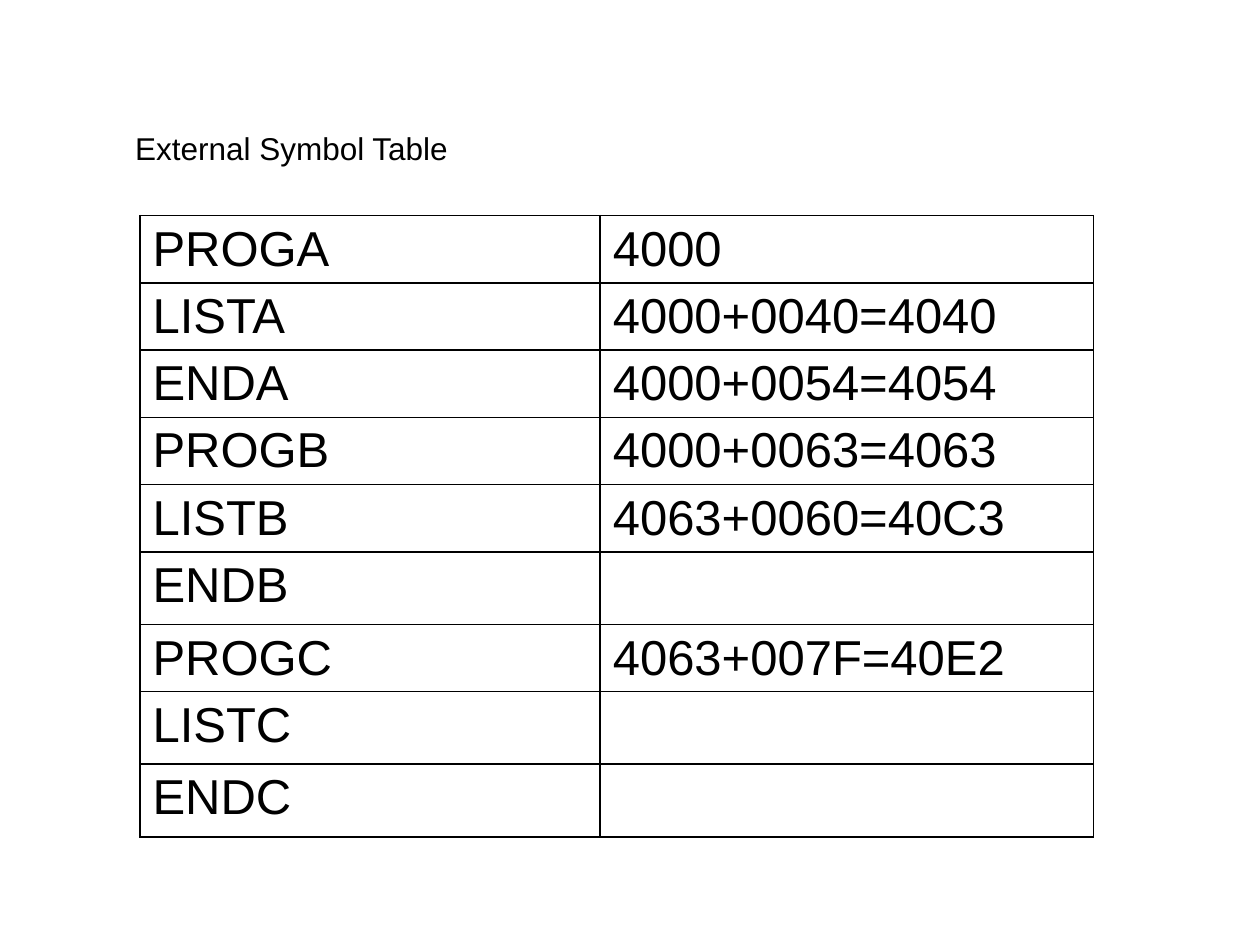
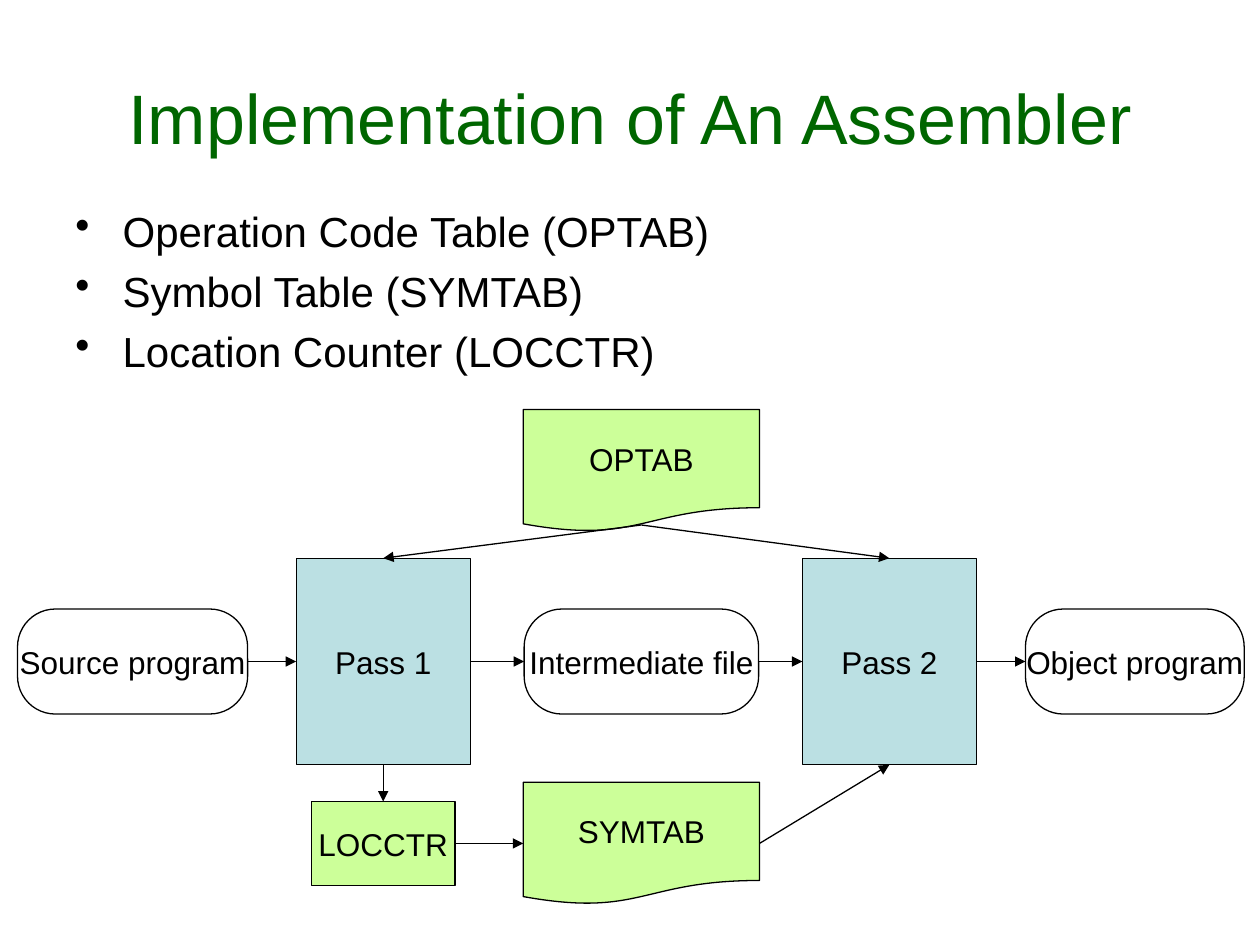
from dataclasses import dataclass

from lxml import etree
from pptx import Presentation
from pptx import util as u
from pptx.dml.color import RGBColor
from pptx.enum import shapes, text
from pptx.oxml.ns import qn

Pt = u.Pt


@dataclass(frozen=True)
class Theme:
    font: str = "Arial"
    ink: str = "000000"
    heading: str = "006600"
    process: str = "BBE0E3"
    data: str = "CCFF99"
    title_size: int = 40
    table_size: int = 28
    bullet_size: int = 24
    label_size: int = 18
    line_width: float = 0.75
    border_width: float = 1


THEME = Theme()
TITLE_ONLY = 5

SYMBOLS = [
    ("PROGA", "4000"),
    ("LISTA", "4000+0040=4040"),
    ("ENDA", "4000+0054=4054"),
    ("PROGB", "4000+0063=4063"),
    ("LISTB", "4063+0060=40C3"),
    ("ENDB", ""),
    ("PROGC", "4063+007F=40E2"),
    ("LISTC", ""),
    ("ENDC", ""),
]
TABLES = [
    "Operation Code Table (OPTAB)",
    "Symbol Table (SYMTAB)",
    "Location Counter (LOCCTR)",
]
TOP, LEFT, BOTTOM, RIGHT = range(4)


def points(*values):
    return [Pt(value) for value in values]


def style_text(text_frame, size, color=THEME.ink, align=text.PP_ALIGN.LEFT):
    for paragraph in text_frame.paragraphs:
        paragraph.alignment = align
        paragraph.font.size = Pt(size)
        for run in paragraph.runs:
            run.font.name = THEME.font
            run.font.size = Pt(size)
            run.font.color.rgb = RGBColor.from_string(color)


def style_line(line):
    line.color.rgb = RGBColor.from_string(THEME.ink)
    line.width = Pt(THEME.line_width)


def set_title(slide, content, box, size, color, align, anchor):
    title = slide.shapes.title
    title.left, title.top, title.width, title.height = points(*box)
    frame = title.text_frame
    frame.text = content
    frame.auto_size = text.MSO_AUTO_SIZE.NONE
    frame.vertical_anchor = anchor
    style_text(frame, size, color, align)


def add_border(cell):
    properties = cell._tc.get_or_add_tcPr()
    for position, side in enumerate(("a:lnL", "a:lnR", "a:lnT", "a:lnB")):
        line = etree.Element(qn(side), w=str(Pt(THEME.border_width)))
        fill = etree.SubElement(line, qn("a:solidFill"))
        etree.SubElement(fill, qn("a:srgbClr"), val=THEME.ink)
        properties.insert(position, line)


def add_table(slide, rows, left, top, widths, row_height):
    box = points(left, top, sum(widths), row_height * len(rows))
    table = slide.shapes.add_table(len(rows), len(widths), *box).table
    table.first_row = table.horz_banding = False
    for column, width in zip(table.columns, widths):
        column.width = Pt(width)
    for row, values in zip(table.rows, rows):
        row.height = Pt(row_height)
        for cell, value in zip(row.cells, values):
            cell.text_frame.text = value
            style_text(cell.text_frame, THEME.table_size)
            cell.fill.background()
            add_border(cell)


def add_bullets(slide, items, box):
    frame = slide.shapes.add_textbox(*points(*box)).text_frame
    frame.word_wrap = True
    frame.text = "\n".join(items)
    for index, paragraph in enumerate(frame.paragraphs):
        properties = paragraph._p.get_or_add_pPr()
        properties.set("marL", str(Pt(27)))
        properties.set("indent", str(Pt(-27)))
        etree.SubElement(properties, qn("a:buChar"), char="•")
        if index:
            paragraph.space_before = Pt(5.5)
    style_text(frame, THEME.bullet_size)


def add_node(slide, kind, label, box, fill=None):
    shape = slide.shapes.add_shape(kind, *points(*box))
    shape.shadow.inherit = False
    if fill:
        shape.fill.solid()
        shape.fill.fore_color.rgb = RGBColor.from_string(fill)
    else:
        shape.fill.background()
    style_line(shape.line)
    frame = shape.text_frame
    frame.text = label
    frame.word_wrap = False
    frame.vertical_anchor = text.MSO_ANCHOR.MIDDLE
    style_text(frame, THEME.label_size, align=text.PP_ALIGN.CENTER)
    return shape


def add_pass(slide, label, left):
    return add_node(slide, shapes.MSO_SHAPE.RECTANGLE, label, (left, 319, 99.5, 118), THEME.process)


def add_file(slide, label, left, width):
    shape = add_node(slide, shapes.MSO_SHAPE.ROUNDED_RECTANGLE, label, (left, 348, width, 60))
    shape.adjustments[0] = 0.36
    return shape


def add_document(slide, label, top):
    return add_node(slide, shapes.MSO_SHAPE.FLOWCHART_DOCUMENT, label, (299, top, 135, 70), THEME.data)


def add_arrow(slide, target, target_side, source=None, source_side=None, start=(0, 0)):
    x, y = points(*start)
    arrow = slide.shapes.add_connector(shapes.MSO_CONNECTOR.STRAIGHT, x, y, x, y)
    if source is not None:
        arrow.begin_connect(source, source_side)
    arrow.end_connect(target, target_side)
    style_line(arrow.line)
    etree.SubElement(arrow.line._get_or_add_ln(), qn("a:tailEnd"), type="triangle")
    etree.SubElement(arrow._element.spPr, qn("a:effectLst"))


def build_symbol_table(presentation):
    slide = presentation.slides.add_slide(presentation.slide_layouts[TITLE_ONLY])
    set_title(slide, "External Symbol Table", (70, 70, 546.5, 29), THEME.label_size,
              THEME.ink, text.PP_ALIGN.LEFT, text.MSO_ANCHOR.TOP)
    add_table(slide, SYMBOLS, 80, 123.2, (263, 282), 38.4)


def build_assembler(presentation):
    slide = presentation.slides.add_slide(presentation.slide_layouts[TITLE_ONLY])
    set_title(slide, "Implementation of An Assembler", (36, 21.6, 648, 90), THEME.title_size,
              THEME.heading, text.PP_ALIGN.CENTER, text.MSO_ANCHOR.MIDDLE)
    add_bullets(slide, TABLES, (36, 114, 648, 106))

    first_pass = add_pass(slide, "Pass 1", 169.25)
    second_pass = add_pass(slide, "Pass 2", 458.5)
    source = add_file(slide, "Source program", 10, 131.5)
    intermediate = add_file(slide, "Intermediate file", 299.5, 134)
    object_file = add_file(slide, "Object program", 586, 125)
    add_document(slide, "OPTAB", 234)
    symtab = add_document(slide, "SYMTAB", 447)
    locctr = add_node(slide, shapes.MSO_SHAPE.RECTANGLE, "LOCCTR", (178, 458, 82, 48), THEME.data)

    flow = [source, first_pass, intermediate, second_pass, object_file]
    for before, after in zip(flow, flow[1:]):
        add_arrow(slide, after, LEFT, before, RIGHT)
    add_arrow(slide, locctr, TOP, first_pass, BOTTOM)
    add_arrow(slide, symtab, LEFT, locctr, RIGHT)
    add_arrow(slide, second_pass, BOTTOM, symtab, RIGHT)
    for target in (first_pass, second_pass):
        add_arrow(slide, target, TOP, start=(366.5, 300))


def main():
    presentation = Presentation()
    presentation.slide_width, presentation.slide_height = points(720, 540)
    build_symbol_table(presentation)
    build_assembler(presentation)
    presentation.save("out.pptx")


if __name__ == "__main__":
    main()
